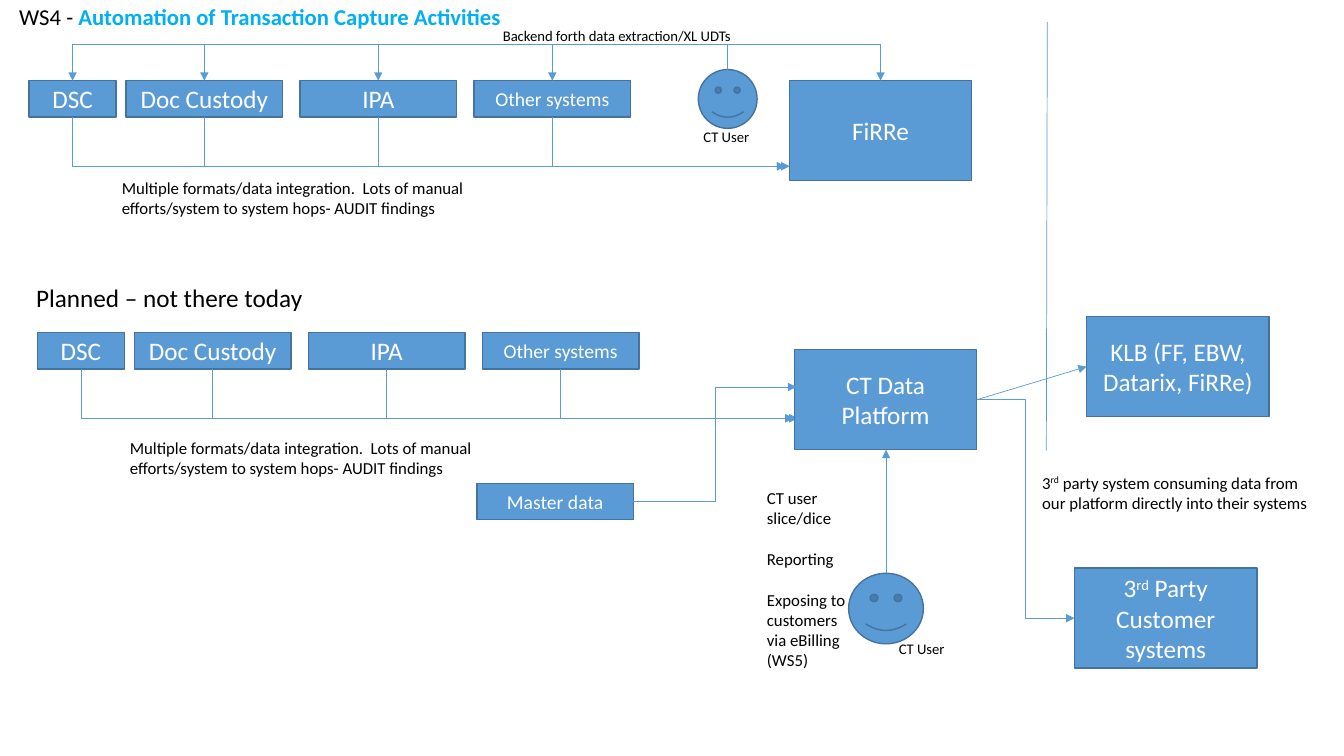
from dataclasses import dataclass

from lxml.etree import SubElement
from pptx import Presentation
from pptx.dml.color import RGBColor
from pptx.enum.shapes import MSO_CONNECTOR, MSO_SHAPE
from pptx.enum.text import MSO_ANCHOR, MSO_AUTO_SIZE, PP_ALIGN
from pptx.oxml.ns import qn
from pptx.util import Pt

FONT = "Calibri"
BLUE, EDGE, ACCENT, BLACK, WHITE = "5B9BD5", "43739E", "00B0F0", "000000", "FFFFFF"
BIG_SIZE = (130.3, 71.5)
SMALL_SIZE = (111.9, 26)
FIRST_SIZE = (62.2, 26)


@dataclass
class Node:
    """A labelled rectangle, measured in points."""
    label: str
    left: float
    top: float
    size: tuple[float, float]
    font_size: float = 18

    @property
    def center(self) -> float:
        return self.left + self.size[0] / 2

    @property
    def middle(self) -> float:
        return self.top + self.size[1] / 2

    @property
    def right(self) -> float:
        return self.left + self.size[0]

    @property
    def bottom(self) -> float:
        return self.top + self.size[1]


@dataclass
class Note:
    """Free text, measured in points."""
    text: str
    left: float
    top: float
    width: float
    height: float
    font_size: float = 12
    wrap: bool = True


def color(value: str) -> RGBColor:
    """Turn a hex string into a colour."""
    return RGBColor.from_string(value)


def add_span(para, text, *, size, fill=BLACK, bold=False, raised=False):
    """Add one formatted run to a paragraph."""
    span = para.add_run()
    span.text = text
    span.font.name, span.font.size, span.font.bold = FONT, Pt(size), bold
    span.font.color.rgb = color(fill)
    if raised:
        span.font._element.set("baseline", "30000")


def write(frame, text, *, size, fill=BLACK, align=PP_ALIGN.LEFT, gap=0.0):
    """Write paragraphs split at newlines; text between carets is superscript."""
    for index, line in enumerate(text.split("\n")):
        para = frame.add_paragraph() if index else frame.paragraphs[0]
        para.alignment = align
        if index:
            para.space_before = Pt(gap)
        for part, piece in enumerate(line.split("^")):
            add_span(para, piece, size=size, fill=fill, raised=part % 2 == 1)


def add_figure(page, kind, left, top, width, height):
    """Draw a blue preset shape with a darker outline."""
    figure = page.shapes.add_shape(kind, Pt(left), Pt(top), Pt(width), Pt(height))
    figure.shadow.inherit = False
    figure.fill.solid()
    figure.fill.fore_color.rgb = color(BLUE)
    figure.line.color.rgb = color(EDGE)
    figure.line.width = Pt(1)
    return figure


def add_node(page, node: Node):
    """Draw a node with its centred label."""
    frame = add_figure(page, MSO_SHAPE.RECTANGLE, node.left, node.top, *node.size).text_frame
    frame.word_wrap = True
    frame.vertical_anchor = MSO_ANCHOR.MIDDLE
    write(frame, node.label, size=node.font_size, fill=WHITE, align=PP_ALIGN.CENTER)


def add_note(page, note: Note):
    """Draw a text box."""
    box = page.shapes.add_textbox(Pt(note.left), Pt(note.top), Pt(note.width), Pt(note.height))
    box.text_frame.word_wrap = note.wrap
    write(box.text_frame, note.text, size=note.font_size, gap=14.65)


def add_link(page, start, end, *, kind=MSO_CONNECTOR.STRAIGHT, arrow=True):
    """Draw a thin connector from start to end."""
    link = page.shapes.add_connector(kind, *(Pt(value) for value in (*start, *end)))
    link.line.color.rgb = color(BLUE)
    link.line.width = Pt(0.5)
    if arrow:
        SubElement(link.line._get_or_add_ln(), qn("a:tailEnd"), type="triangle")
    SubElement(link._element.spPr, qn("a:effectLst"))
    return link


def add_drop(page, start, end, bend_y=None):
    """Draw an elbow that leaves vertically; bend_y gives it a second corner."""
    (x1, y1), (x2, y2) = start, end
    mid_x, mid_y = (x1 + x2) / 2, (y1 + y2) / 2
    half_width, half_height = (y2 - y1) / 2, (x2 - x1) / 2
    link = add_link(page, (mid_x + half_width, mid_y - half_height),
                    (mid_x - half_width, mid_y + half_height), kind=MSO_CONNECTOR.ELBOW)
    link.rotation = 270
    geometry = link._element.spPr.find(qn("a:prstGeom"))
    if bend_y is None:
        geometry.set("prst", "bentConnector2")
        return
    guides = geometry.find(qn("a:avLst"))
    if guides is None:
        guides = SubElement(geometry, qn("a:avLst"))
    ratio = round((bend_y - y1) / (y2 - y1) * 100000)
    SubElement(guides, qn("a:gd"), name="adj1", fmla=f"val {ratio}")


def source_row(left: float, top: float) -> list[Node]:
    """Lay out the four source systems."""
    labels = [("Doc Custody", 18), ("IPA", 18), ("Other systems", 14)]
    return [Node("DSC", left, top, FIRST_SIZE)] + [
        Node(label, left + 69.2 + index * 124.3, top, SMALL_SIZE, size)
        for index, (label, size) in enumerate(labels)]


def add_sources(page, row: list[Node], bus_end: float):
    """Draw the source systems and their shared feed."""
    for node, inset in zip(row, (0, 2.9, 2.9, 0)):
        add_node(page, node)
        add_drop(page, (node.center, node.bottom), (bus_end - inset, node.top + 61.2))


deck = Presentation()
deck.slide_width, deck.slide_height = Pt(960), Pt(540)
page = deck.slides.add_slide(deck.slide_layouts[5])

title = page.shapes.title
title.left, title.top, title.width, title.height = Pt(6.5), Pt(0), Pt(376), Pt(26.6)
title.text_frame.auto_size = MSO_AUTO_SIZE.NONE
title.text_frame.vertical_anchor = MSO_ANCHOR.MIDDLE
heading = title.text_frame.paragraphs[0]
heading.alignment, heading.line_spacing = PP_ALIGN.LEFT, 0.9
add_span(heading, "WS4 - ", size=16.2)
add_span(heading, "Automation of Transaction Capture Activities", size=16.2, fill=ACCENT, bold=True)

today, planned = source_row(20.8, 57.6), source_row(26.7, 237.6)
ledger = Node("FiRRe", 563.8, 57.6, BIG_SIZE)
platform = Node("CT Data Platform", 567.4, 249.8, BIG_SIZE)
reports = Node("KLB (FF, EBW, Datarix, FiRRe)", 776.2, 226.1, BIG_SIZE)
customers = Node("3^rd^ Party Customer systems", 767.5, 405.8, BIG_SIZE)
master = Node("Master data", 340.6, 345.2, SMALL_SIZE, 14)

add_sources(page, today, 563.8)
add_sources(page, planned, 569.6)
for node in (ledger, platform, reports, customers, master):
    add_node(page, node)

add_figure(page, MSO_SHAPE.SMILEY_FACE, 498.8, 49.7, 42, 42)
add_figure(page, MSO_SHAPE.SMILEY_FACE, 606.2, 409.5, 53.4, 50.4)
for node in (*today, ledger):
    add_drop(page, (519.8, 49.7), (node.center, node.top), bend_y=31.7)

add_link(page, (platform.right, platform.middle), (reports.left, reports.middle))
add_link(page, (632.9, 409.5), (632.9, platform.bottom))
add_link(page, (platform.right, platform.middle), (customers.left, customers.middle),
         kind=MSO_CONNECTOR.ELBOW)
add_link(page, (master.right, master.middle), (568.8, 276.5), kind=MSO_CONNECTOR.ELBOW)
add_link(page, (748.1, 15.8), (747.4, 321.8), arrow=False)

FINDINGS = ("Multiple formats/data integration.  Lots of manual "
            "efforts/system to system hops- AUDIT findings")
for note in (
    Note(FINDINGS, 79.9, 123.1, 266.4, 36),
    Note(FINDINGS, 85.7, 308.9, 266.4, 36),
    Note("CT user slice/dice\nReporting\nExposing to customers via eBilling (WS5)",
         540.7, 344.9, 78.5, 138.2),
    Note("CT User", 635, 453.6, 48.2, 20.2, 10.5),
    Note("CT User", 495.4, 87.8, 48.2, 20.2, 10.5),
    Note("Backend forth data extraction/XL UDTs", 352.1, 15.8, 181.4, 20.2, 10.5, wrap=False),
    Note("3^rd^ party system consuming data from our platform directly into their systems",
         737.3, 333.8, 208.1, 36),
    Note("Planned – not there today", 18.7, 198, 207.4, 28.8, 18, wrap=False),
):
    add_note(page, note)

deck.save("out.pptx")
